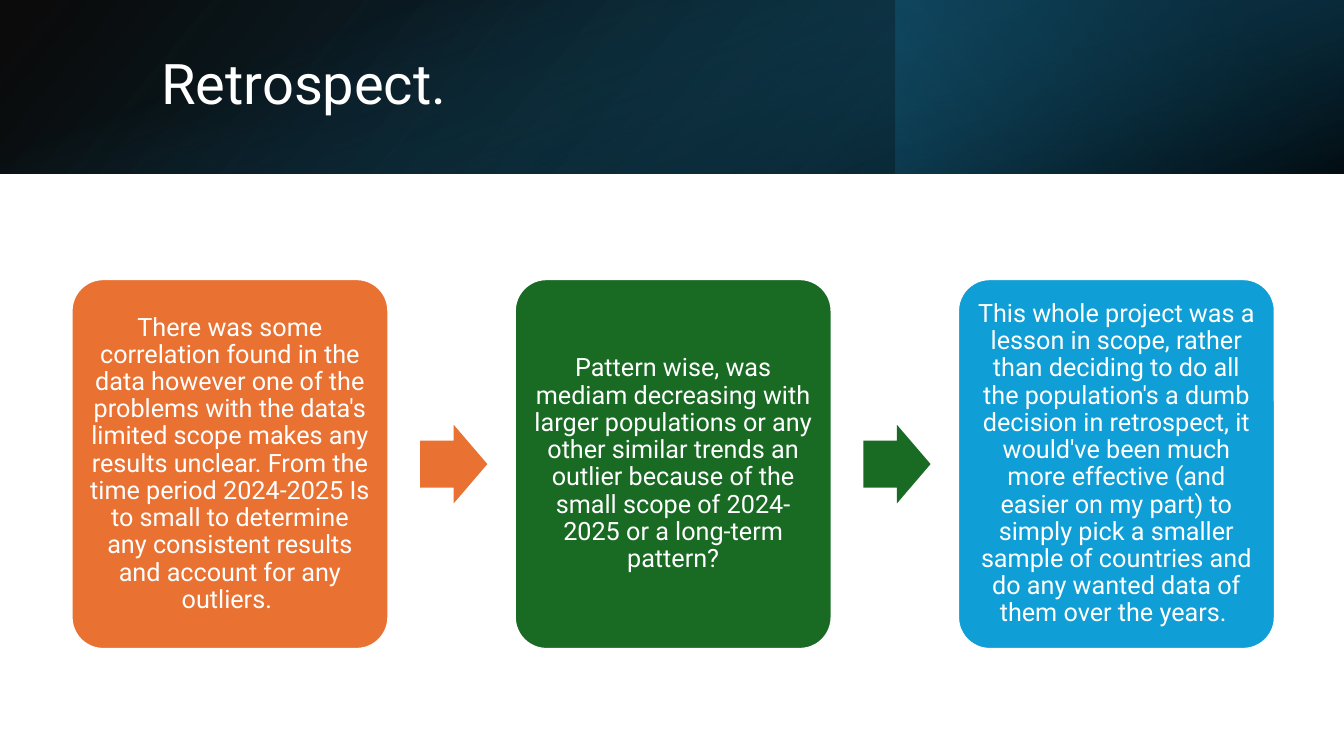
from lxml.etree import SubElement
from pptx import Presentation
from pptx.dml.color import RGBColor as Rgb
from pptx.enum.shapes import MSO_SHAPE as Shape
from pptx.enum.text import MSO_ANCHOR as Anchor, PP_ALIGN as Align
from pptx.oxml.ns import qn
from pptx.util import Pt

# Content
TITLE = "Retrospect."
STEPS = [
    ("orange", "There was some correlation found in the data however one of the "
     "problems with the data's limited scope makes any results unclear. From the "
     "time period 2024-2025 Is to small to determine any consistent results and "
     "account for any outliers. "),
    ("green", "Pattern wise, was mediam decreasing with larger populations or any "
     "other similar trends an outlier because of the small scope of 2024-2025 or "
     "a long-term pattern?"),
    ("blue", "This whole project was a lesson in scope, rather than deciding to do "
     "all the population's a dumb decision in retrospect, it would've been much "
     "more effective (and easier on my part) to simply pick a smaller sample of "
     "countries and do any wanted data of them over the years. "),
]

THEME = {
    "font": "Roboto", "title": 40, "body": 18, "spacing": 0.9,
    "white": "FFFFFF", "orange": "E97132", "green": "196B24", "blue": "0F9ED5",
}

# Geometry in points
PAGE_W, PAGE_H, BANNER_H = 960, 540, 124
TITLE_AREA = (108, 27.4, 790.6, 69.1)
STEP_LEFT, STEP_TOP, STEP_W, STEP_H, STEP_PITCH = 51.1, 199.4, 226.3, 264.2, 316.6
ARROW_OFFSET, ARROW_W, ARROW_H = 249, 48, 56.1

# Banner layers: stops are (position, colour, opacity %), angle is clockwise
BANNER = [
    {"area": (0, 0, PAGE_W, BANNER_H), "turn": 0, "flip": True, "angle": 140,
     "stops": [(0, "000000", 96), (1, "104862", 100)]},
    {"area": (PAGE_W * 2 / 3, 0, PAGE_W / 3, BANNER_H), "turn": 180, "flip": False,
     "angle": 320, "stops": [(0.19, "0B3041", 68), (1, "156082", 79)]},
    {"area": ((PAGE_W - BANNER_H) / 2, (BANNER_H - PAGE_W) / 2, BANNER_H, PAGE_W),
     "turn": 90, "flip": False, "angle": 340,
     "stops": [(0.23, "156082", 0), (0.99, "000000", 74)]},
]


def set_all(target, values):
    for name, value in values.items():
        setattr(target, name, value)


def add_shape(page, kind, area, adjustments=()):
    shape = page.shapes.add_shape(kind, *map(Pt, area))
    shape.shadow.inherit = False
    shape.line.fill.background()
    for index, value in enumerate(adjustments):
        shape.adjustments[index] = value
    return shape


def fill_solid(shape, colour):
    shape.fill.solid()
    shape.fill.fore_color.rgb = Rgb.from_string(THEME[colour])


def fill_gradient(shape, stops, angle):
    shape.fill.gradient()
    shape.fill.gradient_angle = 360 - angle
    for stop, (position, colour, opacity) in zip(shape.fill.gradient_stops, stops):
        stop.position = position
        stop.color.rgb = Rgb.from_string(colour)
    # Opacity of each stop
    colours = shape.element.spPr.iter(qn("a:srgbClr"))
    for element, (_, _, opacity) in zip(colours, stops):
        SubElement(element, qn("a:alpha"), val=str(opacity * 1000))


def write(shape, text, size, align, frame_format):
    frame = shape.text_frame
    set_all(frame, {"word_wrap": True, "vertical_anchor": Anchor.MIDDLE, **frame_format})
    para = frame.paragraphs[0]
    set_all(para, {"alignment": align, "line_spacing": THEME["spacing"]})
    span = para.add_run()
    span.text = text
    set_all(span.font, {"name": THEME["font"], "size": Pt(THEME[size])})
    span.font.color.rgb = Rgb.from_string(THEME["white"])


def add_banner(page):
    title = page.shapes.title
    for layer in BANNER:
        band = add_shape(page, Shape.RECTANGLE, layer["area"])
        band.rotation = layer["turn"]
        if layer["flip"]:
            band.element.spPr.find(qn("a:xfrm")).set("flipH", "1")
        fill_gradient(band, layer["stops"], layer["angle"])
        title.element.addprevious(band.element)
    set_all(title, dict(zip(("left", "top", "width", "height"), map(Pt, TITLE_AREA))))
    write(title, TITLE, "title", Align.LEFT, {})


def add_steps(page):
    inset = {f"margin_{side}": Pt(5.4) for side in ("left", "top", "right", "bottom")}
    for index, (colour, text) in enumerate(STEPS):
        left = STEP_LEFT + index * STEP_PITCH
        box = add_shape(page, Shape.ROUNDED_RECTANGLE,
                        (left, STEP_TOP, STEP_W, STEP_H), [0.1])
        fill_solid(box, colour)
        box.line.color.rgb = Rgb.from_string(THEME["white"])
        box.line.width = Pt(1.5)
        write(box, text, "body", Align.CENTER, inset)
        # Arrow to the next step
        if index < len(STEPS) - 1:
            arrow_top = STEP_TOP + (STEP_H - ARROW_H) / 2
            arrow = add_shape(page, Shape.RIGHT_ARROW,
                              (left + ARROW_OFFSET, arrow_top, ARROW_W, ARROW_H), [0.6, 0.5])
            fill_solid(arrow, colour)


def main():
    deck = Presentation()
    set_all(deck, {"slide_width": Pt(PAGE_W), "slide_height": Pt(PAGE_H)})
    page = deck.slides.add_slide(deck.slide_layouts.get_by_name("Title Only"))
    add_banner(page)
    add_steps(page)
    deck.save("out.pptx")


if __name__ == "__main__":
    main()
